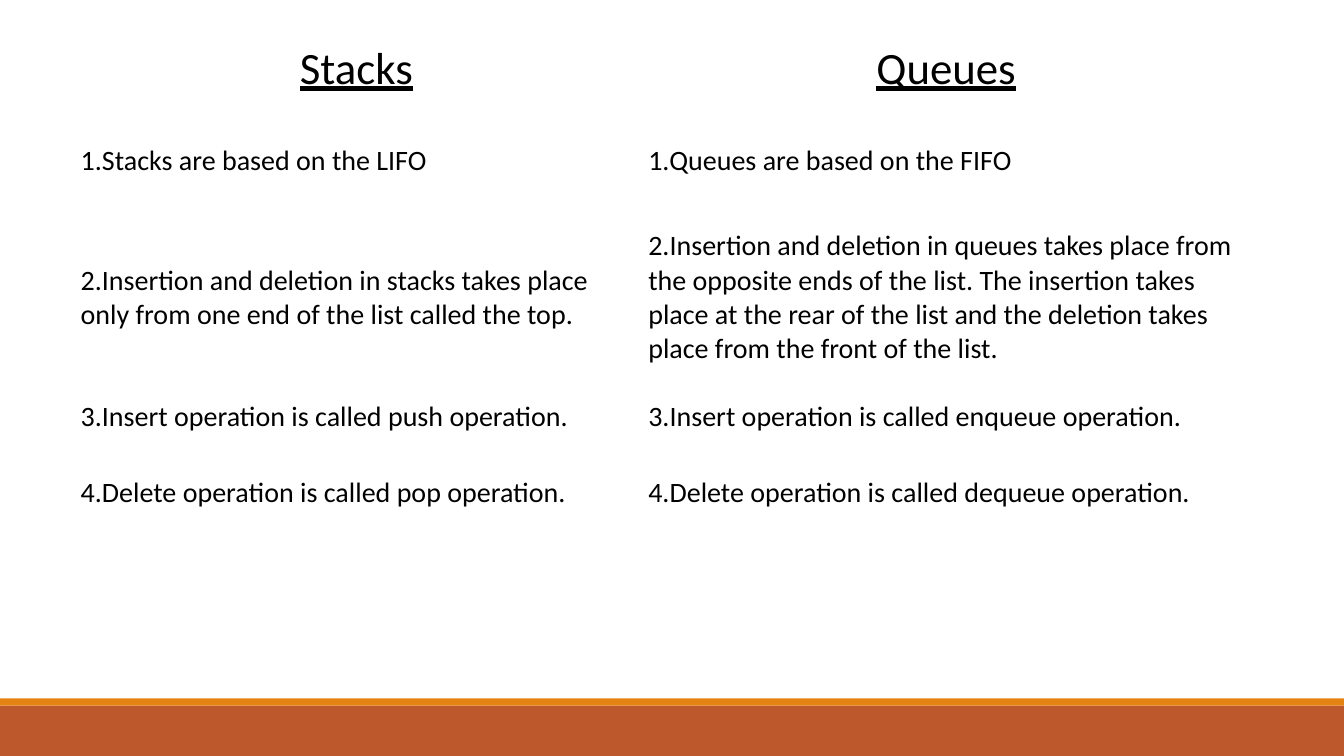
from pptx import Presentation
from pptx.dml.color import RGBColor
from pptx.enum.shapes import MSO_SHAPE
from pptx.enum.text import MSO_ANCHOR, PP_ALIGN
from pptx.util import Inches, Pt

RECTANGLE = MSO_SHAPE.RECTANGLE
MIDDLE = MSO_ANCHOR.MIDDLE
CENTER, LEFT = PP_ALIGN.CENTER, PP_ALIGN.LEFT

WHITE = RGBColor(0xFF, 0xFF, 0xFF)
BLACK = RGBColor(0x00, 0x00, 0x00)
RUST = RGBColor(0xBD, 0x58, 0x2C)
ORANGE = RGBColor(0xE4, 0x83, 0x12)

SLIDE_WIDTH, SLIDE_HEIGHT = 13.33, 7.5
COLUMN_WIDTHS = [5.63, 6.07]
ROW_HEIGHTS = [0.69, 1.12, 1.47, 0.76, 0.76, 1.47]

# The last table row is left empty
COMPARISON = [
    ("Stacks", "Queues"),
    ("1.Stacks are based on the LIFO", "1.Queues are based on the FIFO"),
    ("2.Insertion and deletion in stacks takes place only from one end of "
     "the list called the top.",
     "2.Insertion and deletion in queues takes place from the opposite ends "
     "of the list. The insertion takes place at the rear of the list and the "
     "deletion takes place from the front of the list."),
    ("3.Insert operation is called push operation.",
     "3.Insert operation is called enqueue operation."),
    ("4.Delete operation is called pop operation.",
     "4.Delete operation is called dequeue operation."),
    ("", ""),
]


def add_band(slide, top, height, color):
    s = slide.shapes.add_shape(RECTANGLE, 0, Inches(top),
                               Inches(SLIDE_WIDTH), Inches(height))
    s.shadow.inherit = False
    s.fill.solid()
    s.fill.fore_color.rgb = color
    s.line.fill.background()


def fill_cell(cell, text, is_header):
    cell.fill.solid()
    cell.fill.fore_color.rgb = WHITE
    cell.vertical_anchor = MIDDLE
    cell.margin_left = cell.margin_right = Inches(0.08)
    cell.margin_top = cell.margin_bottom = Inches(0.08 if is_header else 0.12)
    if not text:
        return
    p = cell.text_frame.paragraphs[0]
    p.text = text
    p.alignment = CENTER if is_header else LEFT
    p.font.name = "Calibri"
    p.font.size = Pt(32 if is_header else 20)
    p.font.underline = is_header
    p.font.color.rgb = BLACK


def add_comparison_table(slide):
    frame = slide.shapes.add_table(
        len(ROW_HEIGHTS), len(COLUMN_WIDTHS), Inches(0.72), Inches(0.33),
        Inches(sum(COLUMN_WIDTHS)), Inches(sum(ROW_HEIGHTS)))
    table = frame.table
    table.first_row = False
    table.horz_banding = False
    for column, width in zip(table.columns, COLUMN_WIDTHS):
        column.width = Inches(width)
    for i, (row, height) in enumerate(zip(table.rows, ROW_HEIGHTS)):
        row.height = Inches(height)
        for cell, text in zip(row.cells, COMPARISON[i]):
            fill_cell(cell, text, is_header=i == 0)


def main():
    prs = Presentation()
    prs.slide_width = Inches(SLIDE_WIDTH)
    prs.slide_height = Inches(SLIDE_HEIGHT)
    slide = prs.slides.add_slide(prs.slide_layouts[6])

    # Footer bands
    add_band(slide, 7, 0.5, RUST)
    add_band(slide, 6.93, 0.07, ORANGE)

    # Stacks and queues side by side
    add_comparison_table(slide)

    prs.save("out.pptx")


if __name__ == "__main__":
    main()
